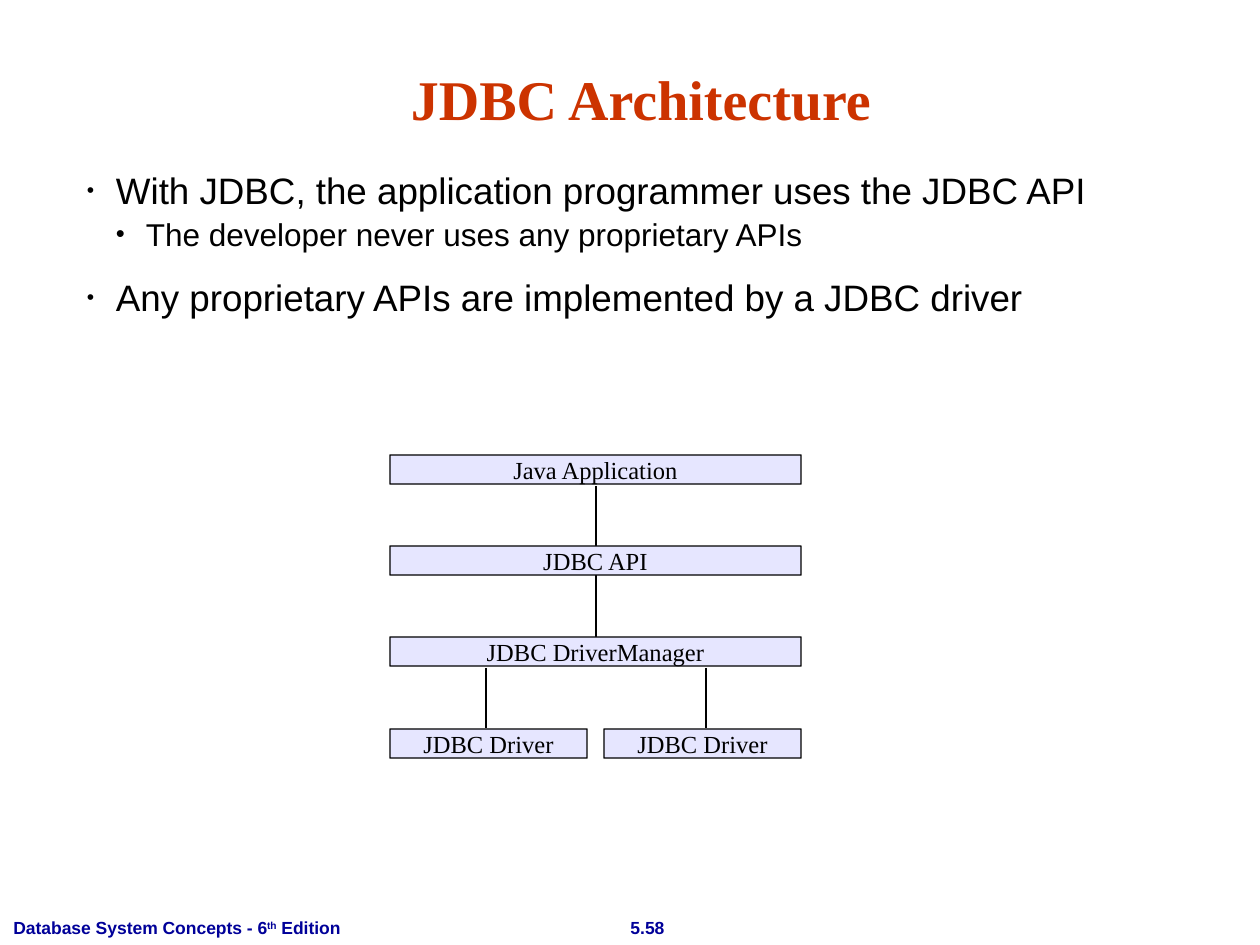
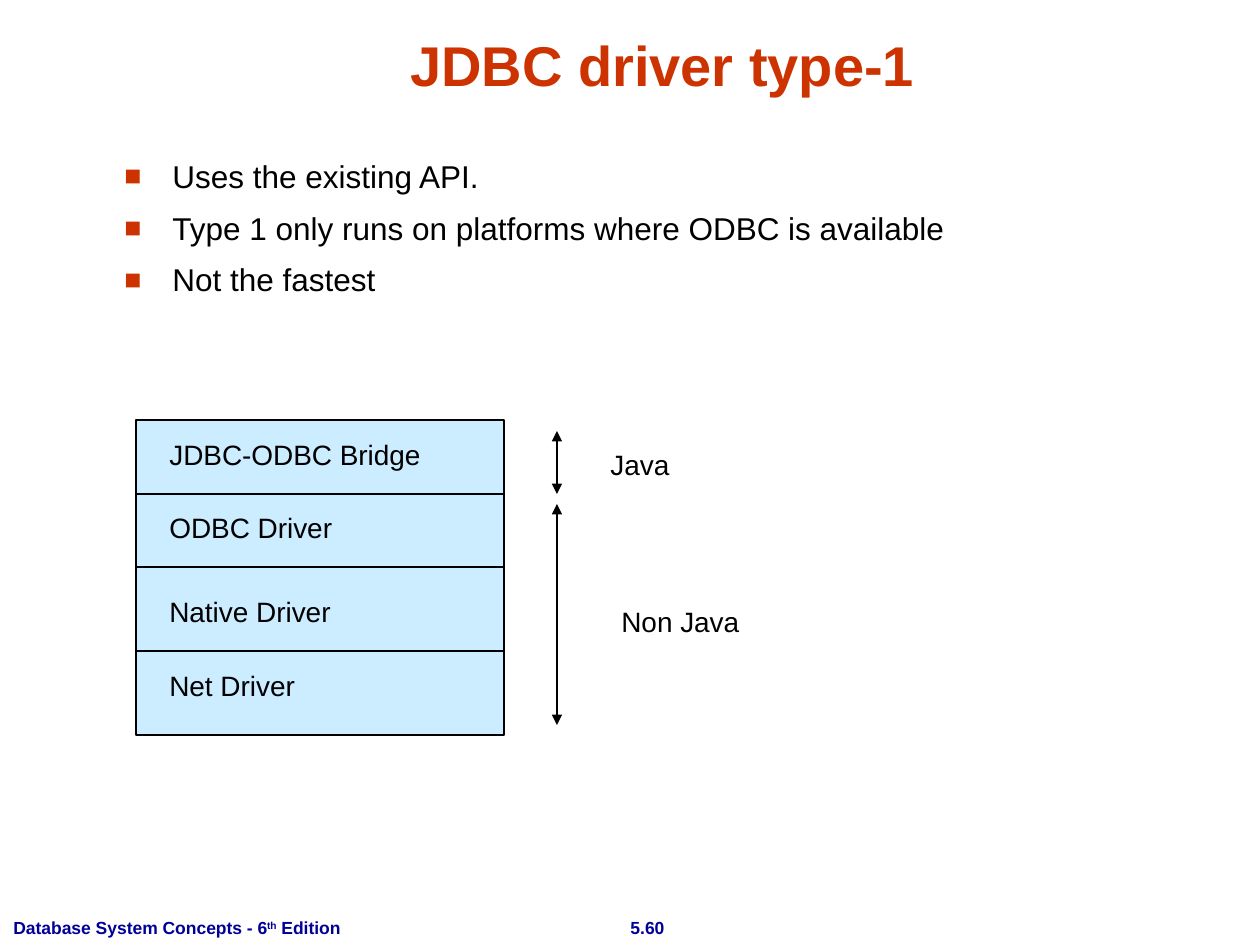
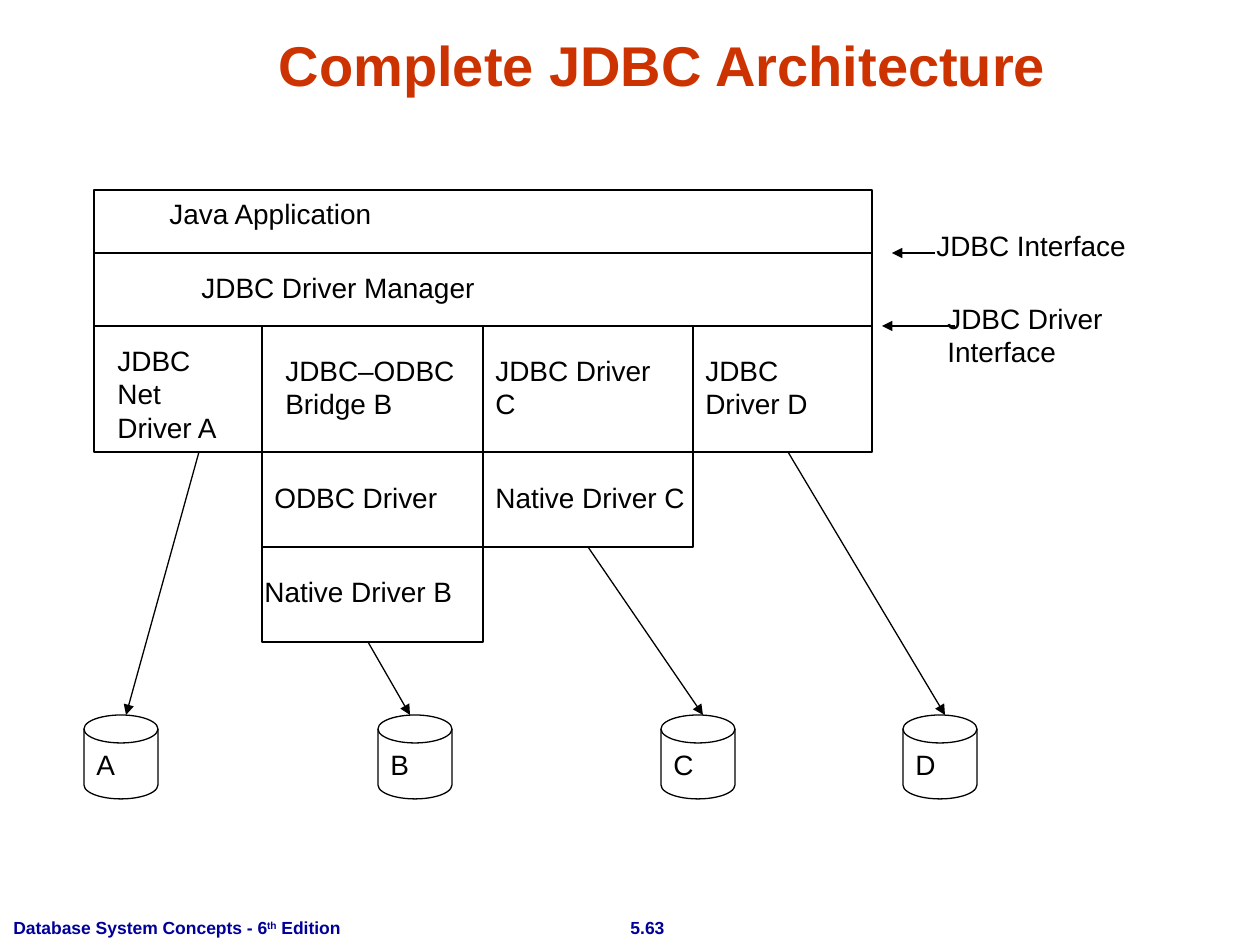
from dataclasses import dataclass
from itertools import pairwise

from lxml import etree
from pptx import Presentation, util as u
from pptx.dml.color import RGBColor
from pptx.enum import shapes, text
from pptx.oxml.ns import qn

PX = 914400 / 126


def px(length):
    """Turn px into EMU."""
    return u.Emu(round(length * PX))


@dataclass(frozen=True)
class Theme:
    """Colours, fonts and type sizes of the deck."""
    ink: str = "000000"
    accent: str = "CC3300"
    footer: str = "000099"
    paper: str = "FFFFFF"
    lavender: str = "E6E6FF"
    sky: str = "CCECFF"
    sans: str = "Arial"
    serif: str = "Times New Roman"
    title_size: int = 32
    lead_size: int = 21
    body_size: int = 18
    label_size: int = 16
    box_size: int = 14
    footer_size: int = 10
    line_width: float = 0.75


@dataclass(frozen=True)
class Bullet:
    """Look of one bullet level, with lengths in px."""
    mark: str
    color: str
    percent: int
    indent: int
    hang: int
    size: int


class Deck:
    """Holds the theme and the current slide and draws each kind of element."""

    def __init__(self, theme):
        """Open an empty deck."""
        self.theme = theme
        self.prs = Presentation()
        self.prs.slide_width, self.prs.slide_height = px(1260), px(945)

    def new_slide(self, number):
        """Start a slide with its footer."""
        t = self.theme
        self.slide = self.prs.slides.add_slide(self.prs.slide_layouts[6])
        style = dict(size=t.footer_size, color=t.footer, bold=True)
        self.label(586, 911, 123, 34, number, align=text.PP_ALIGN.CENTER, **style)
        edition = self.label(1, 911, 352, 34, "Database System Concepts - 6", **style)
        ordinal = edition.add_run()
        ordinal.text = "th"
        ordinal._r.get_or_add_rPr().set("baseline", "30000")
        edition.add_run().text = " Edition"

    def font(self, paragraph, size, color=None, face=None, bold=False):
        """Set the font of a paragraph."""
        font = paragraph.font
        font.name = face or self.theme.sans
        font.size = u.Pt(size)
        font.bold = bold
        font.color.rgb = RGBColor.from_string(color or self.theme.ink)

    def frame(self, x, y, w, h, inset=True):
        """Add a wrapping text box and return its text frame."""
        frame = self.slide.shapes.add_textbox(px(x), px(y), px(w), px(h)).text_frame
        frame.word_wrap = True
        if not inset:
            self.clear_insets(frame)
        return frame

    def clear_insets(self, frame):
        """Remove the inner margins of a text frame."""
        frame.margin_left = frame.margin_right = frame.margin_top = frame.margin_bottom = 0

    def label(self, x, y, w, h, words, size=None, align=None, inset=True, **style):
        """Add a one-paragraph text box and return the paragraph."""
        paragraph = self.frame(x, y, w, h, inset).paragraphs[0]
        paragraph.add_run().text = words
        paragraph.alignment = align
        self.font(paragraph, size or self.theme.label_size, **style)
        return paragraph

    def title(self, words):
        """Add the centred slide title."""
        t = self.theme
        self.label(106, 24, 1113, 77, words, size=t.title_size,
                   align=text.PP_ALIGN.CENTER, color=t.accent, bold=True)

    def bullets(self, x, y, w, h, items, inset=True, spacing=None):
        """Add a list of (words, bullet, points before) items."""
        frame = self.frame(x, y, w, h, inset)
        for index, (words, bullet, before) in enumerate(items):
            paragraph = frame.add_paragraph() if index else frame.paragraphs[0]
            paragraph.add_run().text = words
            paragraph.line_spacing = spacing
            paragraph.space_before = u.Pt(before)
            props = paragraph._p.get_or_add_pPr()
            props.set("marL", str(px(bullet.indent)))
            props.set("indent", str(-px(bullet.hang)))
            tint = etree.SubElement(props, qn("a:buClr"))
            etree.SubElement(tint, qn("a:srgbClr"), val=bullet.color)
            etree.SubElement(props, qn("a:buSzPct"), val=str(bullet.percent * 1000))
            etree.SubElement(props, qn("a:buFont"), typeface=self.theme.sans)
            etree.SubElement(props, qn("a:buChar"), char=bullet.mark)
            self.font(paragraph, bullet.size)

    def shape(self, x, y, w, h, fill=None, kind=shapes.MSO_SHAPE.RECTANGLE):
        """Add an outlined preset shape."""
        shape = self.slide.shapes.add_shape(kind, px(x), px(y), px(w), px(h))
        shape.shadow.inherit = False
        if fill:
            shape.fill.solid()
            shape.fill.fore_color.rgb = RGBColor.from_string(fill)
        else:
            shape.fill.background()
        self.stroke(shape.line)
        return shape

    def stroke(self, line):
        """Give a line the deck's colour and width."""
        line.color.rgb = RGBColor.from_string(self.theme.ink)
        line.width = u.Pt(self.theme.line_width)

    def layer(self, x, y, w, words):
        """Add a thin lavender box with centred serif text."""
        t = self.theme
        box = self.shape(x, y, w, 29, t.lavender, shapes.MSO_SHAPE.ROUNDED_RECTANGLE)
        box.adjustments[0] = 0.003
        self.clear_insets(box.text_frame)
        self.caption(box, words, text.PP_ALIGN.CENTER, t.box_size, t.serif)

    def database(self, x, y, words):
        """Add a database cylinder."""
        disk = self.shape(x, y, 74, 84, self.theme.paper,
                          shapes.MSO_SHAPE.FLOWCHART_MAGNETIC_DISK)
        self.caption(disk, words, text.PP_ALIGN.LEFT, self.theme.label_size)

    def caption(self, shape, words, align, size, face=None):
        """Write vertically centred text in a shape."""
        frame = shape.text_frame
        frame.vertical_anchor = text.MSO_ANCHOR.MIDDLE
        paragraph = frame.paragraphs[0]
        paragraph.add_run().text = words
        paragraph.alignment = align
        self.font(paragraph, size, face=face)

    def line(self, x1, y1, x2, y2, start=False, end=False):
        """Add a straight line with optional arrowheads."""
        line = self.slide.shapes.add_connector(
            shapes.MSO_CONNECTOR.STRAIGHT, px(x1), px(y1), px(x2), px(y2))
        self.stroke(line.line)
        outline = line.line._get_or_add_ln()
        for tag, wanted in (("a:headEnd", start), ("a:tailEnd", end)):
            if wanted:
                etree.SubElement(outline, qn(tag), type="triangle")
        etree.SubElement(line._element.spPr, qn("a:effectLst"))


def architecture(deck):
    """Draw the JDBC layers."""
    t = deck.theme
    deck.new_slide("5.58")
    deck.label(411, 65, 653, 67, "JDBC Architecture", size=t.title_size,
               inset=False, color=t.accent, face=t.serif, bold=True)
    lead = Bullet("•", t.ink, 57, 29, 29, t.lead_size)
    detail = Bullet("•", t.ink, 81, 59, 30, t.body_size)
    deck.bullets(87, 165, 1084, 145, [
        ("With JDBC, the application programmer uses the JDBC API", lead, 0),
        ("The developer never uses any proprietary APIs", detail, 0),
        ("Any proprietary APIs are implemented by a JDBC driver", lead, 11),
    ], inset=False, spacing=1.07)

    left, top, step = 390, 455, 91
    driver_row = top + 3 * step
    deck.line(596, top + 31, 596, top + 2 * step)
    for branch in (486, 706):
        deck.line(branch, driver_row - 60, branch, driver_row)
    for row, words in enumerate(("Java Application", "JDBC API", "JDBC DriverManager")):
        deck.layer(left, top + row * step, 411, words)
    for x in (left, 604):
        deck.layer(x, driver_row + 1, 197, "JDBC Driver")


def driver_type(deck):
    """Draw the type-1 driver stack."""
    t = deck.theme
    deck.new_slide("5.60")
    deck.title("JDBC driver type-1")
    square = Bullet("■", t.accent, 90, 48, 48, t.body_size)
    points = ("Uses the existing API.",
              "Type 1 only runs on platforms where ODBC is available",
              "Not the fastest")
    deck.bullets(112, 151, 1056, 675,
                 [(words, square, 7.9 if row else 0) for row, words in enumerate(points)])

    left, right, top, bottom = 136, 504, 420, 735
    deck.shape(left, top, right - left, bottom - top, t.sky)
    for divider in (494, 567, 651):
        deck.line(left, divider, right, divider)
    for y, words in ((431, "JDBC-ODBC Bridge"), (504, "ODBC Driver"),
                     (588, "Native Driver"), (662, "Net Driver")):
        deck.label(157, y, 325, 47, words)
    for y1, y2 in ((431, 494), (504, 725)):
        deck.line(557, y1, 557, y2, start=True, end=True)
    deck.label(598, 441, 179, 47, "Java")
    deck.label(609, 598, 179, 47, "Non Java")


def complete_architecture(deck):
    """Draw the whole path from application to databases."""
    deck.new_slide("5.63")
    deck.title("Complete JDBC Architecture")
    left, right = 94, 872
    top, interface, driver_interface, bottom = 190, 253, 326, 452
    columns = (262, 483, 693)
    deck.shape(left, top, right - left, bottom - top)
    for y in (interface, driver_interface):
        deck.line(left, y, right, y)
    for x in columns:
        deck.line(x, driver_interface, x, bottom)

    native_height = 95
    (bridge, native), (_, native_end) = pairwise(columns)
    for x, y, end in ((bridge, bottom, native), (bridge, bottom + native_height, native),
                      (native, bottom, native_end)):
        deck.shape(x, y, end - x, native_height)

    for x, y, w, h, words in (
        (157, 190, 546, 47, "Java Application"),
        (189, 264, 546, 47, "JDBC Driver Manager"),
        (105, 337, 147, 113, "JDBC Net Driver A"),
        (273, 347, 199, 81, "JDBC–ODBC Bridge B"),
        (483, 347, 199, 81, "JDBC Driver C"),
        (693, 347, 179, 81, "JDBC Driver D"),
        (262, 474, 199, 47, "ODBC Driver"),
        (252, 568, 221, 47, "Native Driver B"),
        (483, 474, 221, 47, "Native Driver C"),
        (924, 222, 262, 47, "JDBC Interface"),
        (935, 295, 262, 81, "JDBC Driver Interface"),
    ):
        deck.label(x, y, w, h, words)

    deck.line(935, interface, 892, interface, end=True)
    deck.line(955, driver_interface, 882, driver_interface, end=True)
    database_top = 715
    for name, x, start_x, start_y, end_x in (
        ("A", 84, 199, bottom, 126),
        ("B", 378, 368, bottom + 2 * native_height, 410),
        ("C", 661, 588, bottom + native_height, 703),
        ("D", 903, 788, bottom, 945),
    ):
        deck.line(start_x, start_y, end_x, database_top, end=True)
        deck.database(x, database_top, name)


def main():
    """Build and save the deck."""
    deck = Deck(Theme())
    architecture(deck)
    driver_type(deck)
    complete_architecture(deck)
    deck.prs.save("out.pptx")


if __name__ == "__main__":
    main()
